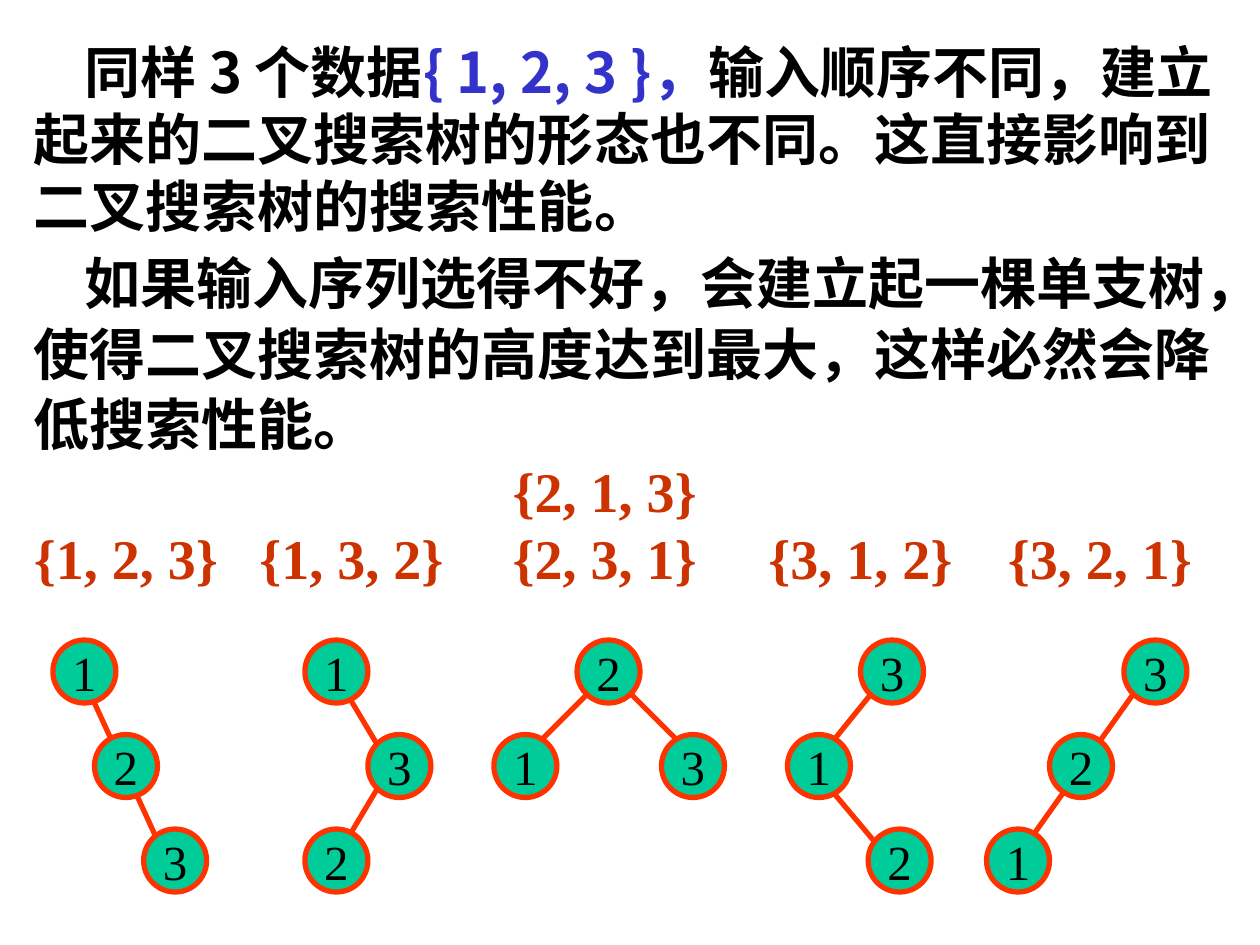
import pptx
import pptx.dml.color
import pptx.enum.shapes
import pptx.enum.text
import pptx.util
from lxml import etree
from pptx.oxml.ns import qn

Inches = pptx.util.Inches
Pt = pptx.util.Pt
RGBColor = pptx.dml.color.RGBColor

BLACK = RGBColor(0x00, 0x00, 0x00)
BLUE = RGBColor(0x33, 0x33, 0xCC)
RUST = RGBColor(0xCC, 0x33, 0x00)
GREEN = RGBColor(0x00, 0xCC, 0x99)
ORANGE = RGBColor(0xFF, 0x33, 0x00)

SERIF = "Times New Roman"
CHINESE = "Noto Sans CJK SC"
NODE_SIZE = 0.5
LEVELS = (0, 0.75, 1.5)
TREE_TOP = 5.08
LABEL_TABS = (1.79, 3.8, 5.83, 7.73)

PARAGRAPHS = [
    ([("同样 3 个数据", BLACK), ("{ 1, 2, 3 }，", BLUE),
      ("输入顺序不同，建立起来的二叉搜索树的形态也不同。这直接影响到二叉搜索树的搜索性能。", BLACK)],
     CHINESE, 38.3, 0),
    ([("如果输入序列选得不好，会建立起一棵单支树，使得二叉搜索树的高度达到最大，这样必然会降低搜索性能。", BLACK)],
     CHINESE, 40.2, 4),
    ([("\t\t{2, 1, 3}", RUST)], SERIF, 38.3, 0),
    ([("{1, 2, 3}\t{1, 3, 2}\t{2, 3, 1}\t{3, 1, 2}\t{3, 2, 1}", RUST)], SERIF, 38.3, 0),
]

TREES = [
    (0.42, [("1", 0, 0), ("2", 0.33, 1), ("3", 0.72, 2)],
     [(0.33, 0.5, 0.83, 1.59)]),
    (2.42, [("1", 0, 0), ("3", 0.5, 1), ("2", 0, 2)],
     [(0.33, 0.42, 0.58, 0.84), (0.33, 1.59, 0.58, 1.17)]),
    (3.92, [("2", 0.66, 0), ("1", 0, 1), ("3", 1.33, 1)],
     [(0.75, 0.42, 0.33, 0.84), (1.08, 0.42, 1.5, 0.84)]),
    (6.25, [("3", 0.58, 0), ("1", 0, 1), ("2", 0.64, 2)],
     [(0.67, 0.42, 0.33, 0.84), (0.33, 1.17, 0.75, 1.67)]),
    (7.83, [("3", 1.09, 0), ("2", 0.5, 1), ("1", 0, 2)],
     [(1.17, 0.42, 0.34, 1.59)]),
]


def add_tab_stops(paragraph):
    properties = paragraph._p.get_or_add_pPr()
    tab_list = etree.SubElement(properties, qn("a:tabLst"))
    for position in LABEL_TABS:
        etree.SubElement(tab_list, qn("a:tab"), pos=str(Inches(position)), algn="l")


def format_run(run, font_name, color):
    run.font.name = font_name
    run.font.size = Pt(32)
    run.font.bold = True
    run.font.color.rgb = color
    etree.SubElement(run._r.get_or_add_rPr(), qn("a:ea"), typeface=font_name)


def add_explanation(slide, left, top, width, height):
    box = slide.shapes.add_textbox(Inches(left), Inches(top), Inches(width), Inches(height))
    text_frame = box.text_frame
    text_frame.word_wrap = True
    for index, (runs, font_name, spacing, before) in enumerate(PARAGRAPHS):
        paragraph = text_frame.add_paragraph() if index else text_frame.paragraphs[0]
        paragraph.line_spacing = Pt(spacing)
        if before:
            paragraph.space_before = Pt(before)
        if font_name == CHINESE:
            paragraph._p.get_or_add_pPr().set("indent", str(Inches(0.4)))
        else:
            add_tab_stops(paragraph)
        for text, color in runs:
            run = paragraph.add_run()
            run.text = text
            format_run(run, font_name, color)


def add_edge(slide, start_x, start_y, end_x, end_y):
    edge = slide.shapes.add_connector(
        pptx.enum.shapes.MSO_CONNECTOR.STRAIGHT,
        Inches(start_x), Inches(start_y), Inches(end_x), Inches(end_y))
    edge.line.color.rgb = ORANGE
    edge.line.width = Pt(3)
    etree.SubElement(edge._element.spPr, qn("a:effectLst"))


def add_node(slide, left, top, key):
    node = slide.shapes.add_shape(
        pptx.enum.shapes.MSO_SHAPE.OVAL,
        Inches(left), Inches(top), Inches(NODE_SIZE), Inches(NODE_SIZE))
    node.shadow.inherit = False
    node.fill.solid()
    node.fill.fore_color.rgb = GREEN
    node.line.color.rgb = ORANGE
    node.line.width = Pt(3)
    text_frame = node.text_frame
    text_frame.word_wrap = False
    text_frame.vertical_anchor = pptx.enum.text.MSO_ANCHOR.MIDDLE
    text_frame.text = key
    paragraph = text_frame.paragraphs[0]
    paragraph.alignment = pptx.enum.text.PP_ALIGN.CENTER
    font = paragraph.runs[0].font
    font.name = SERIF
    font.size = Pt(28)
    font.color.rgb = BLACK


def add_tree(slide, left, top, nodes, edges):
    for start_x, start_y, end_x, end_y in edges:
        add_edge(slide, left + start_x, top + start_y, left + end_x, top + end_y)
    for key, offset, level in nodes:
        add_node(slide, left + offset, top + LEVELS[level], key)


def main():
    presentation = pptx.Presentation()
    presentation.slide_width = Inches(10)
    presentation.slide_height = Inches(7.5)
    slide = presentation.slides.add_slide(presentation.slide_layouts[6])
    add_explanation(slide, 0.17, 0.25, 9.83, 4.51)
    for left, nodes, edges in TREES:
        add_tree(slide, left, TREE_TOP, nodes, edges)
    presentation.save("out.pptx")


if __name__ == "__main__":
    main()
